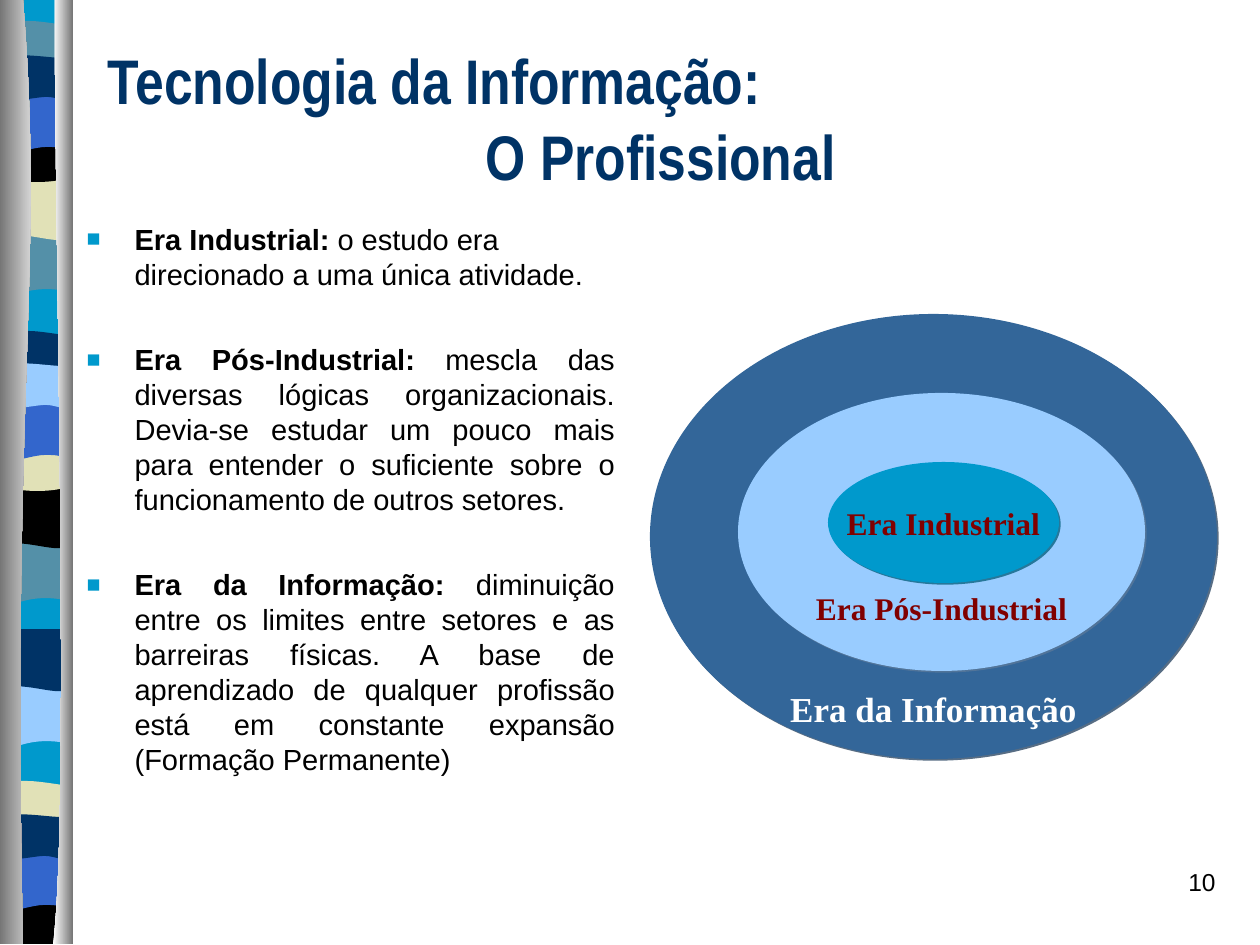
"""Build the slide on the professional in information technology."""
from dataclasses import dataclass

from lxml.etree import SubElement
from pptx import Presentation
from pptx.dml.color import RGBColor
from pptx.enum.shapes import MSO_SHAPE
from pptx.enum.text import MSO_ANCHOR, MSO_AUTO_SIZE, PP_ALIGN
from pptx.oxml.ns import qn
from pptx.util import Inches, Pt

SCALE = Inches(1) / 126
WAVES = {
    "tail": [(67, 0), (67, 59), (21, 49, 11, 69, 0, 59), (0, 0)],
    "block": [(67, 0), (67, 59), (56, 69, 21, 52, 0, 59), (0, 0)],
    "sash": [(67, 6), (67, 38), (55, 43, 10, 43, 0, 38), (0, 6),
             (4, 0, 14, 1, 25, 1), (36, 1, 58, 5, 67, 6)],
    "dip": [(67, 0), (67, 40), (55, 48, 11, 48, 0, 40), (0, 0),
            (41, 6, 53, 0, 67, 0)],
    "hem": [(67, 0), (67, 59), (57, 52, 53, 52, 41, 52),
            (30, 52, 10, 59, 0, 59), (0, 0)],
    "fold": [(67, 6), (67, 45), (63, 52, 52, 45, 42, 45),
             (30, 45, 6, 52, 0, 45), (0, 6), (9, 0, 46, 6, 56, 6),
             (68, 6, 66, 6, 67, 6)],
    "foot": [(67, 0), (67, 48), (0, 48), (0, 0), (41, 6, 53, 0, 67, 0)],
    "back": [(67, 0), (67, 941), (0, 941), (0, 0)],
    "left": [(23, 0), (45, 273, 11, 373, 23, 944), (0, 944), (0, 0)],
    "right": [(2, 0), (0, 158, 18, 814, 0, 944), (20, 944), (20, 0)],
}


@dataclass
class Band:
    """A wavy piece of the side ribbon."""
    wave: str
    left: int
    top: int
    fill: str


@dataclass
class Era:
    """An oval with its label."""
    text: str
    box: tuple[int, int, int, int]
    drop: int
    fill: str
    shade: str
    size: int
    ink: str


@dataclass
class Point:
    """A list item with a bold lead."""
    lead: str
    rest: str
    align: PP_ALIGN


BANDS = [
    Band("back", 5, -1, "0099CC"),
    Band("tail", 4, 233, "5490A8"), Band("block", 5, 178, "E1E1B7"),
    Band("sash", 5, 20, "5490A8"), Band("dip", 4, 136, "000000"),
    Band("hem", 5, 95, "3366CC"), Band("fold", 5, 52, "003366"),
    Band("tail", 3, 542, "5490A8"), Band("block", 3, 486, "000000"),
    Band("sash", 4, 330, "003366"), Band("dip", 4, 445, "E1E1B7"),
    Band("hem", 4, 403, "3366CC"), Band("fold", 4, 360, "99CCFF"),
    Band("tail", 4, 685, "99CCFF"), Band("block", 4, 629, "003366"),
    Band("sash", 3, 780, "E1E1B7"), Band("foot", 4, 896, "000000"),
    Band("hem", 3, 853, "3366CC"), Band("fold", 3, 811, "003366"),
]
ERAS = [
    Era("Era da Informação", (650, 314, 567, 445), 308,
        "336699", "1F3D5C", 20, "FFFFFF"),
    Era("Era Pós-Industrial", (738, 393, 407, 278), 155,
        "99CCFF", "5C7A99", 18, "800000"),
    Era("Era Industrial", (828, 462, 231, 121), 24,
        "0099CC", "005C7A", 18, "800000"),
]
POINTS = [
    Point("Era Industrial:",
          " o estudo era direcionado a uma única atividade.", PP_ALIGN.LEFT),
    Point("Era Pós-Industrial:",
          " mescla das diversas lógicas organizacionais. Devia-se estudar um "
          "pouco mais para entender o suficiente sobre o funcionamento de "
          "outros setores.", PP_ALIGN.JUSTIFY),
    Point("Era da Informação:",
          " diminuição entre os limites entre setores e as barreiras físicas. "
          "A base de aprendizado de qualquer profissão está em constante "
          "expansão (Formação Permanente)", PP_ALIGN.JUSTIFY),
]


def px(num: float) -> int:
    return round(num * SCALE)


def tint(code: str) -> RGBColor:
    return RGBColor.from_string(code)


def style(font, name: str, size: float, ink: str, bold: bool) -> None:
    font.name, font.size, font.bold = name, Pt(size), bold
    font.color.rgb = tint(ink)


def place(shape, left: int, top: int, width: int, height: int) -> None:
    shape.left, shape.top = px(left), px(top)
    shape.width, shape.height = px(width), px(height)


def bend(shape, parts: list[tuple[int, ...]]) -> None:
    """Turn the lines along each curved part into one Bézier curve."""
    lines = iter(list(shape.element.iter(qn("a:lnTo"))))
    for part in parts:
        group = [next(lines) for _ in part[::2]]
        if len(group) == 3:
            curve = group[0].makeelement(qn("a:cubicBezTo"))
            group[0].addprevious(curve)
            for line in group:
                curve.append(line[0])
                line.getparent().remove(line)


def draw_wave(slide, wave: str, left: int, top: int):
    parts = WAVES[wave]
    dots = [(x + left, y + top) for part in parts
            for x, y in zip(part[::2], part[1::2])]
    pen = slide.shapes.build_freeform(*dots[0], scale=SCALE)
    pen.add_line_segments(dots[1:], close=True)
    shape = pen.convert_to_shape()
    bend(shape, parts[1:])
    shape.shadow.inherit = False
    shape.line.fill.background()
    return shape


def draw_band(slide, band: Band) -> None:
    fill = draw_wave(slide, band.wave, band.left, band.top).fill
    fill.solid()
    fill.fore_color.rgb = tint(band.fill)


def draw_edge(slide, wave: str, left: int, hues: tuple[str, str]) -> None:
    fill = draw_wave(slide, wave, left, 0).fill
    fill.gradient()
    fill.gradient_angle = 0
    for stop, hue in zip(fill.gradient_stops, hues):
        stop.color.rgb = tint(hue)


def draw_era(slide, era: Era) -> None:
    oval = slide.shapes.add_shape(MSO_SHAPE.OVAL, *map(px, era.box))
    oval.fill.solid()
    oval.fill.fore_color.rgb = tint(era.fill)
    oval.line.fill.background()
    oval.shadow.inherit = False
    glow = oval.element.spPr.find(qn("a:effectLst"))
    cast = SubElement(glow, qn("a:outerShdw"), dist=str(Pt(1.4)), dir="2700000")
    hue = SubElement(cast, qn("a:srgbClr"), val=era.shade)
    SubElement(hue, qn("a:alpha"), val="75000")
    frame = oval.text_frame
    frame.word_wrap, frame.vertical_anchor = False, MSO_ANCHOR.TOP
    frame.margin_top, frame.margin_bottom = px(era.drop), 0
    para = frame.paragraphs[0]
    para.text, para.alignment = era.text, PP_ALIGN.CENTER
    style(para.font, "Times New Roman", era.size, era.ink, True)


def write_title(shape) -> None:
    place(shape, 95, 42, 1138, 157)
    frame = shape.text_frame
    frame.auto_size, frame.vertical_anchor = MSO_AUTO_SIZE.NONE, MSO_ANCHOR.BOTTOM
    para = frame.paragraphs[0]
    para.text = "Tecnologia da Informação: \v\t\t\tO Profissional"
    para.alignment = PP_ALIGN.LEFT
    tabs = SubElement(para._p.get_or_add_pPr(), qn("a:tabLst"))
    for stop in (1, 2, 3):
        SubElement(tabs, qn("a:tab"), pos=str(Inches(stop)), algn="l")
    style(para.font, "Arial Narrow", 36, "003366", True)


def write_list(shape) -> None:
    place(shape, 74, 215, 553, 620)
    frame = shape.text_frame
    frame.auto_size = MSO_AUTO_SIZE.NONE
    for num, point in enumerate(POINTS):
        para = frame.add_paragraph() if num else frame.paragraphs[0]
        props = para._p.get_or_add_pPr()
        props.set("marL", str(px(48)))
        props.set("indent", str(px(-48)))
        SubElement(SubElement(props, qn("a:buClr")), qn("a:srgbClr"), val="0099CC")
        SubElement(props, qn("a:buSzPct"), val="80000")
        SubElement(props, qn("a:buChar"), char="■")
        para.alignment = point.align
        para.space_before = Pt(29 if num else 0)
        for text, bold in ((point.lead, True), (point.rest, False)):
            run = para.add_run()
            run.text = text
            style(run.font, "Arial", 16.6, "000000", bold)


def write_page(slide) -> None:
    box = slide.shapes.add_textbox(*map(px, (966, 861, 262, 63)))
    box.text_frame.word_wrap = True
    para = box.text_frame.paragraphs[0]
    para.text, para.alignment = "10", PP_ALIGN.RIGHT
    style(para.font, "Arial", 14, "000000", False)


def main() -> None:
    deck = Presentation()
    deck.slide_width, deck.slide_height = px(1260), px(945)
    slide = deck.slides.add_slide(deck.slide_layouts[1])
    for band in BANDS:
        draw_band(slide, band)
    draw_edge(slide, "left", 0, ("767676", "FFFFFF"))
    draw_edge(slide, "right", 53, ("FFFFFF", "767676"))
    write_title(slide.shapes.title)
    write_list(slide.placeholders[1])
    for era in ERAS:
        draw_era(slide, era)
    write_page(slide)
    deck.save("out.pptx")


if __name__ == "__main__":
    main()
